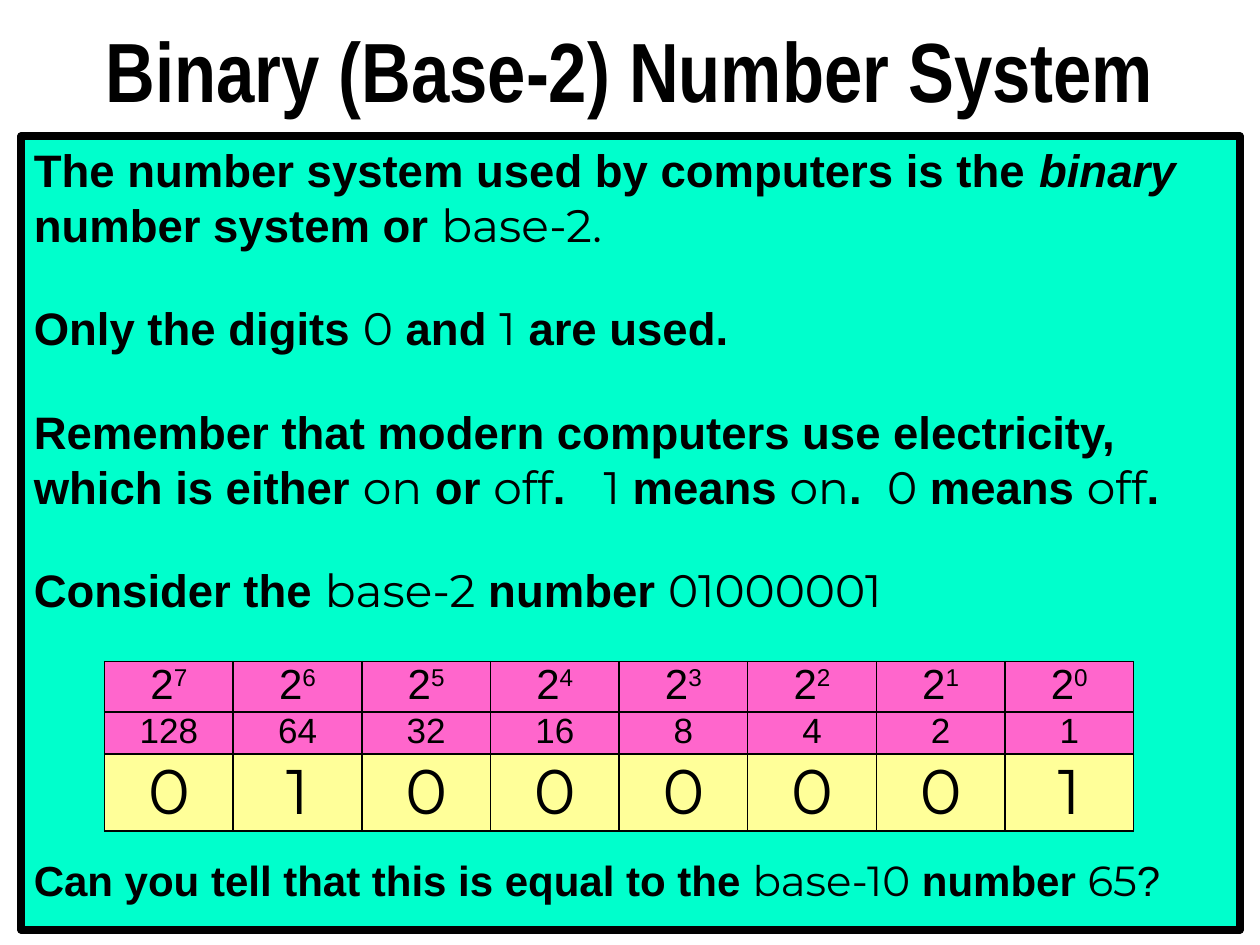
from lxml import etree
from pptx import Presentation
from pptx import util as u
from pptx.dml.color import RGBColor
from pptx.enum import shapes, text
from pptx.oxml.ns import qn

PX = 9144
BLACK = RGBColor(0x00, 0x00, 0x00)
MINT = RGBColor(0x00, 0xFF, 0xCC)
PINK = RGBColor(0xFF, 0x66, 0xCC)
CREAM = RGBColor(0xFF, 0xFF, 0x99)
SANS, CODE = "Arial", "Montserrat"

STYLES = {
    "*": {"name": SANS, "bold": True},
    "_": {"name": SANS, "bold": True, "italic": True},
    "`": {"name": CODE, "bold": False},
    "~": {"name": SANS, "bold": False},
}
LINES = [
    (3, 26, "*The number system used by computers is the |_binary|* number system or |`base-2."),
    (28, 26, "*Only the digits |`0|* and |`1|* are used."),
    (28, 26, "*Remember that modern computers use electricity, which is either |`on|* or |`off"
             "|*.   |`1|* means |`on|*.  |`0|* means |`off|*."),
    (28, 26, "*Consider the |`base-2|* number |`01000001"),
    (136, 24, "*Can you tell that this is equal to the |`base-10|* number |`65|~?"),
]
BITS = "01000001"


def px(*nums):
    """Turn px lengths into EMU."""
    return [u.Emu(n * PX) for n in nums]


def put(obj, vals):
    """Set each named value on an object."""
    for key, val in vals.items():
        setattr(obj, key, val)


def add_run(para, words, size, **form):
    """Add a black run of text in the given format."""
    run = para.add_run()
    run.text = words
    put(run.font, {"size": u.Pt(size), **form})
    run.font.color.rgb = BLACK
    return run


def add_title(slide, box):
    """Place the centred heading."""
    frame = slide.shapes.add_textbox(*px(*box)).text_frame
    put(frame, {"word_wrap": True, "vertical_anchor": text.MSO_ANCHOR.MIDDLE})
    para = frame.paragraphs[0]
    para.alignment = text.PP_ALIGN.CENTER
    add_run(para, "Binary (Base-2) Number System", 48, name="Arial Narrow", bold=True)


def add_panel(slide, box):
    """Place the framed panel with its lines of mixed text."""
    panel = slide.shapes.add_shape(shapes.MSO_SHAPE.RECTANGLE, *px(*box))
    panel.shadow.inherit = False
    panel.fill.solid()
    panel.fill.fore_color.rgb = MINT
    panel.line.color.rgb = BLACK
    panel.line.width = u.Pt(4.5)
    frame = panel.text_frame
    put(frame, {"word_wrap": True, "vertical_anchor": text.MSO_ANCHOR.TOP})
    for i, (gap, size, line) in enumerate(LINES):
        para = frame.add_paragraph() if i else frame.paragraphs[0]
        put(para, {"alignment": text.PP_ALIGN.LEFT, "space_before": u.Pt(gap)})
        for part in line.split("|"):
            add_run(para, part[1:], size, **STYLES[part[0]])


def add_edges(cell):
    """Draw a thin black line on each side of a cell."""
    props = cell._tc.get_or_add_tcPr()
    for i, side in enumerate(("lnL", "lnR", "lnT", "lnB")):
        edge = etree.Element(qn("a:" + side), w=str(u.Pt(1)))
        fill = etree.SubElement(edge, qn("a:solidFill"))
        etree.SubElement(fill, qn("a:srgbClr"), val=str(BLACK))
        props.insert(i, edge)


def add_grid(slide, box, rows):
    """Place the table of powers, place values and bits."""
    count = len(BITS)
    grid = slide.shapes.add_table(len(rows), count, *px(*box)).table
    put(grid, {"first_row": False, "horz_banding": False})
    for r, (high, size, font, tint) in enumerate(rows):
        grid.rows[r].height = px(high)[0]
        for c, bit in enumerate(BITS):
            power = count - 1 - c
            cell = grid.cell(r, c)
            side = px(7)[0]
            put(cell, {"margin_left": side, "margin_right": side,
                       "margin_top": 0, "margin_bottom": 0})
            cell.fill.solid()
            cell.fill.fore_color.rgb = tint
            add_edges(cell)
            para = cell.text_frame.paragraphs[0]
            para.alignment = text.PP_ALIGN.CENTER
            add_run(para, ("2", str(2 ** power), bit)[r], size, name=font)
            if r == 0:
                sup = add_run(para, str(power), size, name=font)
                sup._r.get_or_add_rPr().set("baseline", "30000")


def main():
    """Build the slide and save it."""
    deck = Presentation()
    put(deck, dict(zip(("slide_width", "slide_height"), px(1000, 750))))
    slide = deck.slides.add_slide(deck.slide_layouts[6])
    add_title(slide, (0, 17, 1000, 75))
    add_panel(slide, (17, 108, 967, 630))
    rows = [(37, 24, SANS, PINK), (31, 20, SANS, PINK), (61, 36, CODE, CREAM)]
    add_grid(slide, (83, 525, 817, 129), rows)
    deck.save("out.pptx")


if __name__ == "__main__":
    main()
